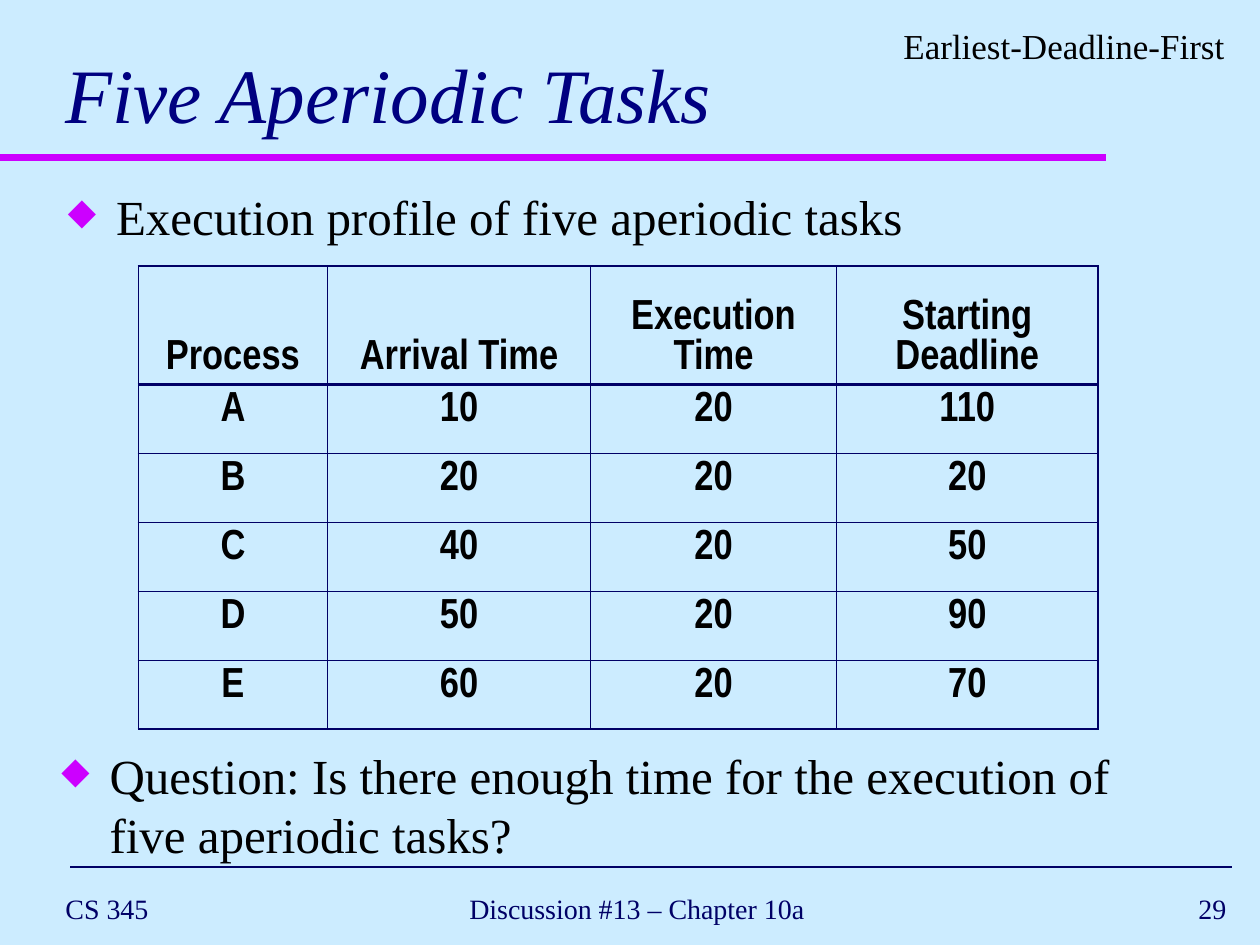
"""Build the slide on the execution profile of five aperiodic tasks."""
from lxml import etree
from pptx import Presentation
from pptx.dml.color import RGBColor
from pptx.enum.shapes import MSO_CONNECTOR
from pptx.enum.text import MSO_ANCHOR, PP_ALIGN
from pptx.oxml.ns import qn
from pptx.util import Cm, Pt

LEFT, CENTER, RIGHT = PP_ALIGN.LEFT, PP_ALIGN.CENTER, PP_ALIGN.RIGHT
TOP, MIDDLE, BOTTOM = MSO_ANCHOR.TOP, MSO_ANCHOR.MIDDLE, MSO_ANCHOR.BOTTOM
STRAIGHT = MSO_CONNECTOR.STRAIGHT

SKY = RGBColor(0xCC, 0xEC, 0xFF)
MAGENTA = RGBColor(0xCC, 0x00, 0xFF)
NAVY = RGBColor(0x00, 0x00, 0x66)
TITLE_BLUE = RGBColor(0x00, 0x00, 0x80)
BLACK = RGBColor(0x00, 0x00, 0x00)
SERIF, NARROW = "Times New Roman", "Arial Narrow"

TITLE = "Five Aperiodic Tasks"
TOPIC = "Earliest-Deadline-First"
BULLETS = [
    ("Execution profile of five aperiodic tasks", 1.12, 3.63),
    ("Question: Is there enough time for the execution of five aperiodic tasks?", 0.99, 14.91),
]
FOOTERS = [
    ("CS 345", 1.07, 6.78, LEFT),
    ("Discussion #13 – Chapter 10a", 7.8, 10.08, CENTER),
    ("29", 19.69, 5.28, RIGHT),
]
RULES = [(0, 22.3, 3.18, MAGENTA, 4), (1.42, 24.84, 17.48, NAVY, 1)]
TASKS = [
    ("Process", "Arrival Time", "Execution Time", "Starting Deadline"),
    ("A", "10", "20", "110"),
    ("B", "20", "20", "20"),
    ("C", "40", "20", "50"),
    ("D", "50", "20", "90"),
    ("E", "60", "20", "70"),
]
COLUMN_WIDTHS = [3.81, 5.31, 4.95, 5.28]
ROW_HEIGHTS = [2.39] + [1.39] * 5
INNER, OUTER, HEADER = 0.45, 1.08, 1.47


def style(paragraph, size, color, font=SERIF, align=LEFT, bold=False, italic=False):
    paragraph.alignment = align
    for run in paragraph.runs:
        run.font.name, run.font.size = font, Pt(size)
        run.font.bold, run.font.italic = bold, italic
        run.font.color.rgb = color


def add_text(slide, text, left, top, width, height, size, color, anchor=TOP, **look):
    frame = slide.shapes.add_textbox(Cm(left), Cm(top), Cm(width), Cm(height)).text_frame
    frame.word_wrap = True
    frame.vertical_anchor = anchor
    frame.text = text
    style(frame.paragraphs[0], size, color, **look)
    return frame.paragraphs[0]


def add_diamond(paragraph):
    paragraph.space_before = Pt(7)
    props = paragraph._p.get_or_add_pPr()
    props.set("marL", str(Cm(0.97)))
    props.set("indent", str(-Cm(0.97)))
    bullet_color = etree.SubElement(props, qn("a:buClr"))
    etree.SubElement(bullet_color, qn("a:srgbClr"), val=str(MAGENTA))
    etree.SubElement(props, qn("a:buSzPct"), val="75000")
    etree.SubElement(props, qn("a:buChar"), char="◆")


def add_rule(slide, start, end, y, color, width):
    rule = slide.shapes.add_connector(STRAIGHT, Cm(start), Cm(y), Cm(end), Cm(y))
    rule.line.color.rgb = color
    rule.line.width = Pt(width)
    etree.SubElement(rule._element.spPr, qn("a:effectLst"))


def set_borders(cell, widths):
    props = cell._tc.get_or_add_tcPr()
    for position, (side, width) in enumerate(widths.items()):
        border = etree.Element(qn(f"a:ln{side}"), w=str(Pt(width)))
        fill = etree.SubElement(border, qn("a:solidFill"))
        etree.SubElement(fill, qn("a:srgbClr"), val=str(NAVY))
        props.insert(position, border)


def add_task_table(slide):
    last_row, last_column = len(TASKS) - 1, len(COLUMN_WIDTHS) - 1
    table = slide.shapes.add_table(
        len(TASKS), len(COLUMN_WIDTHS), Cm(2.79), Cm(5.36),
        Cm(sum(COLUMN_WIDTHS)), Cm(sum(ROW_HEIGHTS))).table
    table.first_row = table.horz_banding = False
    for column, width in zip(table.columns, COLUMN_WIDTHS):
        column.width = Cm(width)
    for row, height in zip(table.rows, ROW_HEIGHTS):
        row.height = Cm(height)
    for r, task in enumerate(TASKS):
        for c, value in enumerate(task):
            cell = table.cell(r, c)
            cell.text = value
            cell.fill.background()
            cell.vertical_anchor = TOP if r else BOTTOM
            paragraph = cell.text_frame.paragraphs[0]
            paragraph.space_before = Pt(6)
            style(paragraph, 24, BLACK, NARROW, CENTER, bold=True)
            set_borders(cell, {
                "L": INNER if c else OUTER,
                "R": OUTER if c == last_column else INNER,
                "T": {0: OUTER, 1: HEADER}.get(r, INNER),
                "B": {0: HEADER, last_row: OUTER}.get(r, INNER),
            })


def main():
    deck = Presentation()
    deck.slide_width, deck.slide_height = Cm(25.4), Cm(19.05)
    slide = deck.slides.add_slide(deck.slide_layouts[6])
    slide.background.fill.solid()
    slide.background.fill.fore_color.rgb = SKY
    for rule in RULES:
        add_rule(slide, *rule)
    for text, left, width, align in FOOTERS:
        add_text(slide, text, left, 17.78, width, 1.07, 16, NAVY, MIDDLE, align=align)
    add_text(slide, TITLE, 1.07, 0.81, 16.61, 2.13, 44, TITLE_BLUE, MIDDLE, italic=True)
    add_text(slide, TOPIC, 15.85, 0.36, 9.09, 1.12, 20, BLACK, align=RIGHT)
    add_task_table(slide)
    for text, left, top in BULLETS:
        add_diamond(add_text(slide, text, left, top, 23.22, 2.13, 28, BLACK))
    deck.save("out.pptx")


if __name__ == "__main__":
    main()
